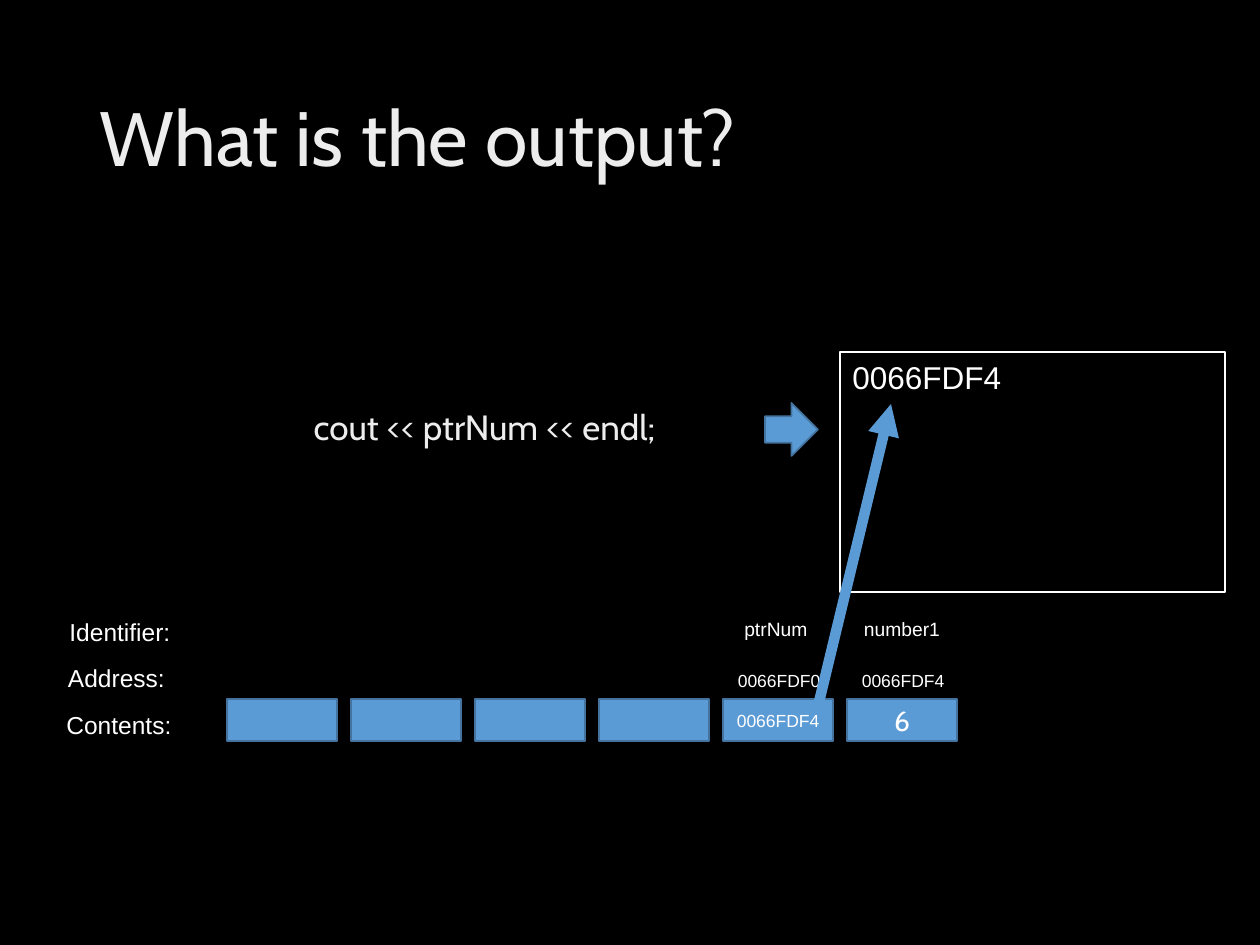
"""Build a slide that asks what a pointer prints, above a strip of memory cells."""
from dataclasses import dataclass
from typing import Any, Optional

from pptx import Presentation
from pptx.dml.color import RGBColor
from pptx.enum import shapes, text
from pptx.oxml import parse_xml
from pptx.oxml.ns import nsdecls
from pptx.util import Pt

SCALE = 914400 / 126
BLACK = RGBColor(0x00, 0x00, 0x00)
WHITE = RGBColor(0xFF, 0xFF, 0xFF)
PALE = RGBColor(0xED, 0xED, 0xED)
BLUE = RGBColor(0x5B, 0x9B, 0xD5)
EDGE = RGBColor(0x43, 0x73, 0x9E)

CELL_LEFT, CELL_TOP, CELL_PITCH, CELL_W, CELL_H = 227, 699, 124, 110, 42
CENTER = text.PP_ALIGN.CENTER
LEFT = text.PP_ALIGN.LEFT


@dataclass
class Box:
    left: int
    top: int
    width: int
    height: int


@dataclass
class Words:
    content: str
    size: int
    font: str = "Arial"
    color: RGBColor = WHITE
    align: Any = CENTER
    anchor: Any = text.MSO_ANCHOR.TOP


@dataclass
class Label:
    box: Box
    words: Words


@dataclass
class Cell:
    content: str = ""
    size: int = 10
    font: str = "Arial"


CELLS = [Cell(), Cell(), Cell(), Cell(), Cell("0066FDF4"), Cell("6", 16, "Cabin")]

LABELS = [
    Label(Box(45, 611, 150, 43), Words("Identifier:", 14)),
    Label(Box(46, 657, 141, 43), Words("Address:", 14)),
    Label(Box(44, 704, 150, 43), Words("Contents:", 14)),
    Label(Box(721, 611, 110, 36), Words("ptrNum", 11)),
    Label(Box(847, 611, 110, 36), Words("number1", 11)),
    Label(Box(724, 664, 110, 34), Words("0066FDF0", 10)),
    Label(Box(848, 664, 110, 34), Words("0066FDF4", 10)),
]


def px(n: int) -> int:
    return round(n * SCALE)


def place(box: Box) -> tuple:
    return px(box.left), px(box.top), px(box.width), px(box.height)


def assign(target: Any, values: dict) -> None:
    for name, value in values.items():
        setattr(target, name, value)


def write(sp: Any, words: Words, para: Optional[dict] = None) -> None:
    tf = sp.text_frame
    assign(tf, {"word_wrap": True, "auto_size": text.MSO_AUTO_SIZE.NONE,
                "vertical_anchor": words.anchor})
    p = tf.paragraphs[0]
    assign(p, {"alignment": words.align, **(para or {})})
    r = p.add_run()
    r.text = words.content
    assign(r.font, {"size": Pt(words.size), "name": words.font})
    r.font.color.rgb = words.color


def fill_placeholder(sp: Any, box: Box, words: Words, para: dict) -> None:
    names = ("left", "top", "width", "height")
    assign(sp, dict(zip(names, place(box))))
    write(sp, words, para)


def add_block(s: Any, kind: Any, box: Box, fill: RGBColor = BLUE,
              line: RGBColor = EDGE, weight: float = 1) -> Any:
    sp = s.shapes.add_shape(kind, *place(box))
    sp.shadow.inherit = False
    sp.fill.solid()
    sp.fill.fore_color.rgb = fill
    sp.line.color.rgb = line
    sp.line.width = Pt(weight)
    return sp


def add_label(s: Any, label: Label) -> None:
    write(s.shapes.add_textbox(*place(label.box)), label.words)


def add_cell(s: Any, index: int, cell: Cell) -> None:
    box = Box(CELL_LEFT + index * CELL_PITCH, CELL_TOP, CELL_W, CELL_H)
    sp = add_block(s, shapes.MSO_SHAPE.RECTANGLE, box)
    if cell.content:
        write(sp, Words(cell.content, cell.size, cell.font,
                        anchor=text.MSO_ANCHOR.MIDDLE))


def add_arrow(s: Any, x1: int, y1: int, x2: int, y2: int) -> None:
    c = s.shapes.add_connector(shapes.MSO_CONNECTOR.STRAIGHT,
                               px(x1), px(y1), px(x2), px(y2))
    c.line.color.rgb = BLUE
    c.line.width = Pt(6)
    c.line._get_or_add_ln().append(
        parse_xml(f'<a:tailEnd {nsdecls("a")} type="triangle"/>'))
    c._element.spPr.append(parse_xml(f'<a:effectLst {nsdecls("a")}/>'))


def main() -> None:
    prs = Presentation()
    assign(prs, {"slide_width": px(1260), "slide_height": px(945)})
    s = prs.slides.add_slide(prs.slide_layouts[1])
    s.background.fill.solid()
    s.background.fill.fore_color.rgb = BLACK

    fill_placeholder(s.shapes.title, Box(87, 50, 1086, 183),
                     Words("What is the output?", 44, "Cabin", PALE, LEFT,
                           text.MSO_ANCHOR.MIDDLE),
                     {"line_spacing": 0.9})
    body = s.placeholders[1]
    fill_placeholder(body, Box(301, 404, 478, 69),
                     Words("cout << ptrNum << endl;", 20, "Cabin", PALE, LEFT),
                     {"line_spacing": 0.9, "space_before": Pt(7.5),
                      "space_after": Pt(12)})
    pPr = body.text_frame.paragraphs[0]._p.get_or_add_pPr()
    pPr.set("marL", "0")
    pPr.set("indent", "0")
    pPr.append(parse_xml(f'<a:buNone {nsdecls("a")}/>'))

    screen = add_block(s, shapes.MSO_SHAPE.RECTANGLE, Box(840, 352, 385, 240),
                       BLACK, WHITE, 1.5)
    write(screen, Words("0066FDF4", 18, align=LEFT))
    add_block(s, shapes.MSO_SHAPE.RIGHT_ARROW, Box(765, 403, 53, 53))

    for index, cell in enumerate(CELLS):
        add_cell(s, index, cell)
    for label in LABELS:
        add_label(s, label)
    add_arrow(s, 819, 702, 891, 404)
    prs.save("out.pptx")


if __name__ == "__main__":
    main()
